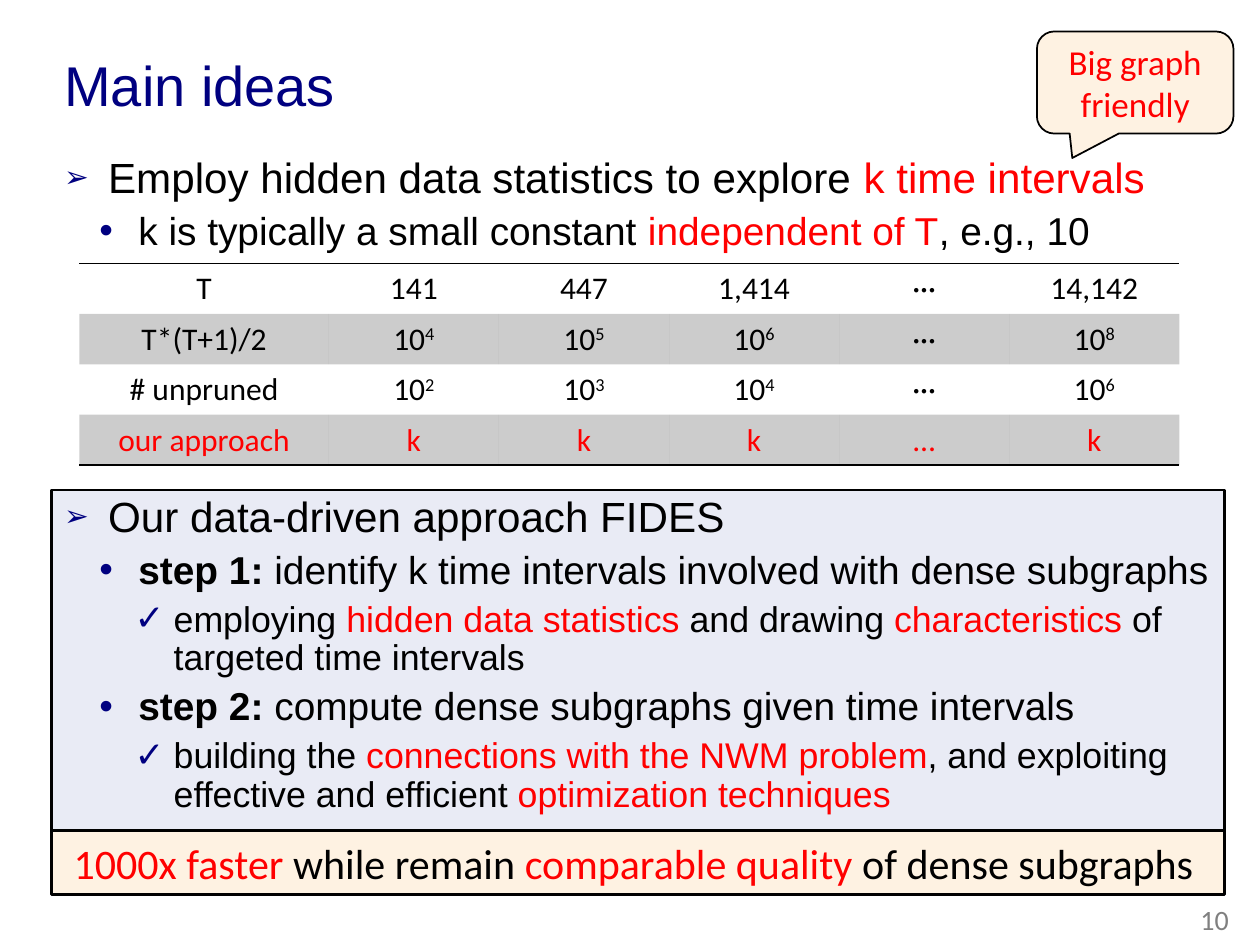
from lxml.etree import SubElement
from pptx import Presentation
from pptx.dml.color import RGBColor
from pptx.enum.shapes import MSO_SHAPE as Shape
from pptx.enum.text import MSO_ANCHOR as Anchor, PP_ALIGN as Align
from pptx.oxml.ns import qn
from pptx.util import Inches, Pt

BLACK = RGBColor(0x00, 0x00, 0x00)
RED = RGBColor(0xFF, 0x00, 0x00)
NAVY = RGBColor(0x00, 0x00, 0x80)
GRAY = RGBColor(0x80, 0x80, 0x80)
LAVENDER = RGBColor(0xE9, 0xEB, 0xF5)
CREAM = RGBColor(0xFE, 0xF2, 0xE2)

# Each paragraph is (level, runs); a run is plain text or (text, "red" / "bold").
IDEAS = [
    (0, ["Employ hidden data statistics to explore ", ("k time intervals", "red")]),
    (1, ["k is typically a small constant ", ("independent of T", "red"), ", e.g., 10"]),
]
APPROACH = [
    (0, ["Our data-driven approach FIDES"]),
    (1, [("step 1:", "bold"),
         " identify k time intervals involved with dense subgraphs"]),
    (2, ["employing ", ("hidden data statistics ", "red"), "and drawing ",
         ("characteristics", "red"), " of targeted time intervals"]),
    (1, [("step 2:", "bold"), " compute dense subgraphs given time intervals"]),
    (2, ["building the ", ("connections with the NWM problem", "red"),
         ", and exploiting effective and efficient ",
         ("optimization techniques", "red")]),
]
RESULT = [("1000x faster ", "red"), "while remain ", ("comparable quality", "red"),
          " of dense subgraphs "]
# "10^4" is drawn with a superscript exponent.
TABLE = [
    ["T", "141", "447", "1,414", "···", "14,142"],
    ["T*(T+1)/2", "10^4", "10^5", "10^6", "···", "10^8"],
    ["# unpruned", "10^2", "10^3", "10^4", "···", "10^6"],
    ["our approach", "k", "k", "k", "…", "k"],
]
COLUMN_WIDTHS = [1.98] + [1.35] * 5
ROW_HEIGHT = 0.4
SHADED_ROWS = (1, 3)
TOP_LINE_ROWS = (0,)
BOTTOM_LINE_ROWS = (0, 3)
NO_TABLE_STYLE = "{2D5ABB26-0587-4C30-8999-92F81FD0307C}"

# level: text indent, hanging, space before, size, bullet, bullet size in percent
LEVELS = [
    (0.35, 0.35, 10, 24.1, "➢", 70),
    (0.59, 0.31, 5, 22.2, "•", 100),
    (0.87, 0.31, 5, 20.4, "✓", 100),
]


def set_font(font, name, size, color):
    font.name, font.size = name, Pt(size)
    font.color.rgb = color


def add_runs(paragraph, runs):
    for item in runs:
        text, style = (item, "") if isinstance(item, str) else item
        run = paragraph.add_run()
        run.text = text
        run.font.color.rgb = RED if style == "red" else BLACK
        if style == "bold":
            run.font.bold = True


def add_bullet(paragraph, character, percent):
    properties = paragraph._p.get_or_add_pPr()
    color = SubElement(properties, qn("a:buClr"))
    SubElement(color, qn("a:srgbClr"), val=str(NAVY))
    SubElement(properties, qn("a:buSzPct"), val=str(percent * 1000))
    SubElement(properties, qn("a:buFont"), typeface="Arial")
    SubElement(properties, qn("a:buChar"), char=character)


def fill_outline(frame, items):
    frame.word_wrap = True
    frame.vertical_anchor = Anchor.TOP
    for index, (level, runs) in enumerate(items):
        indent, hanging, space, size, character, percent = LEVELS[level]
        paragraph = frame.add_paragraph() if index else frame.paragraphs[0]
        paragraph.level = level
        properties = paragraph._p.get_or_add_pPr()
        properties.set("marL", str(Inches(indent)))
        properties.set("indent", str(-Inches(hanging)))
        add_bullet(paragraph, character, percent)
        paragraph.alignment = Align.LEFT
        paragraph.line_spacing = 0.9
        if index:
            paragraph.space_before = Pt(space)
        set_font(paragraph.font, "Arial", size, BLACK)
        add_runs(paragraph, runs)


def add_box(slide, kind, position, fill, line_width):
    shape = slide.shapes.add_shape(kind, *map(Inches, position))
    shape.shadow.inherit = False
    shape.fill.solid()
    shape.fill.fore_color.rgb = fill
    shape.line.color.rgb = BLACK
    shape.line.width = Pt(line_width)
    shape.text_frame.word_wrap = True
    return shape


def set_borders(cell, top, bottom):
    """Draw the asked horizontal lines and switch off the other cell borders."""
    properties = cell._tc.get_or_add_tcPr()
    sides = {"a:lnL": False, "a:lnR": False, "a:lnT": top, "a:lnB": bottom}
    for tag, visible in sides.items():
        line = SubElement(properties, qn(tag), w=str(Pt(1)))
        if visible:
            fill = SubElement(line, qn("a:solidFill"))
            SubElement(fill, qn("a:srgbClr"), val=str(BLACK))
        else:
            SubElement(line, qn("a:noFill"))


def fill_cell(cell, text, row):
    set_borders(cell, row in TOP_LINE_ROWS, row in BOTTOM_LINE_ROWS)
    if row in SHADED_ROWS:
        cell.fill.solid()
        cell.fill.fore_color.rgb = BLACK
        color = cell._tc.tcPr.find(".//" + qn("a:solidFill") + "[last()]/../"
                                   + qn("a:solidFill") + "/" + qn("a:srgbClr")) \
            if row not in BOTTOM_LINE_ROWS else None
        if color is None:
            color = cell._tc.tcPr.find(qn("a:solidFill")).find(qn("a:srgbClr"))
        SubElement(color, qn("a:alpha"), val="20000")
    else:
        cell.fill.background()
    paragraph = cell.text_frame.paragraphs[0]
    paragraph.alignment = Align.CENTER
    color = RED if row == len(TABLE) - 1 else BLACK
    set_font(paragraph.font, "Calibri", 18, color)
    base, _, exponent = text.partition("^")
    for part in filter(None, (base, exponent)):
        run = paragraph.add_run()
        run.text = part
        set_font(run.font, "Calibri", 18, color)
    if exponent:
        run.font._element.set("baseline", "30000")


def add_statistics_table(slide):
    frame = slide.shapes.add_table(
        len(TABLE), len(COLUMN_WIDTHS), Inches(0.63), Inches(2.09),
        Inches(sum(COLUMN_WIDTHS)), Inches(ROW_HEIGHT * len(TABLE)))
    table = frame.table
    table.first_row = table.horz_banding = False
    table._tbl.tblPr.find(qn("a:tableStyleId")).text = NO_TABLE_STYLE
    for column, width in zip(table.columns, COLUMN_WIDTHS):
        column.width = Inches(width)
    for row, texts in enumerate(TABLE):
        for column, text in enumerate(texts):
            fill_cell(table.cell(row, column), text, row)


def add_text_box(slide, position):
    return slide.shapes.add_textbox(*map(Inches, position)).text_frame


def main():
    presentation = Presentation()
    presentation.slide_width, presentation.slide_height = Inches(10), Inches(7.5)
    slide = presentation.slides.add_slide(presentation.slide_layouts[5])

    title = slide.shapes.title
    title.left, title.top, title.width, title.height = map(
        Inches, (0.41, 0.21, 9.18, 0.99))
    title.text_frame.text = "Main ideas"
    title.text_frame.vertical_anchor = Anchor.MIDDLE
    paragraph = title.text_frame.paragraphs[0]
    paragraph.alignment = Align.LEFT
    paragraph.line_spacing = 0.9
    set_font(paragraph.font, "Arial", 32, NAVY)

    fill_outline(add_text_box(slide, (0.41, 1.2, 9.18, 0.95)), IDEAS)

    number = add_text_box(slide, (7.6, 7.1, 2.25, 0.4))
    number.word_wrap = True
    number.vertical_anchor = Anchor.MIDDLE
    number.text = "10"
    number.paragraphs[0].alignment = Align.RIGHT
    set_font(number.paragraphs[0].font, "Calibri", 16, GRAY)

    add_statistics_table(slide)

    approach = add_box(slide, Shape.RECTANGLE, (0.41, 3.89, 9.31, 2.7), LAVENDER, 1.5)
    fill_outline(approach.text_frame, APPROACH)

    callout = add_box(slide, Shape.ROUNDED_RECTANGULAR_CALLOUT,
                      (8.23, 0.25, 1.56, 0.81), CREAM, 1)
    for index, value in enumerate((-0.32, 0.74, 0.17)):
        callout.adjustments[index] = value
    result = add_box(slide, Shape.RECTANGLE, (0.41, 6.59, 9.31, 0.51), CREAM, 1.5)
    for shape, size, runs in ((callout, 20, [("Big graph friendly", "red")]),
                              (result, 24, RESULT)):
        shape.text_frame.vertical_anchor = Anchor.MIDDLE
        paragraph = shape.text_frame.paragraphs[0]
        paragraph.alignment = Align.CENTER
        set_font(paragraph.font, "Calibri", size, BLACK)
        add_runs(paragraph, runs)

    presentation.save("out.pptx")


if __name__ == "__main__":
    main()
